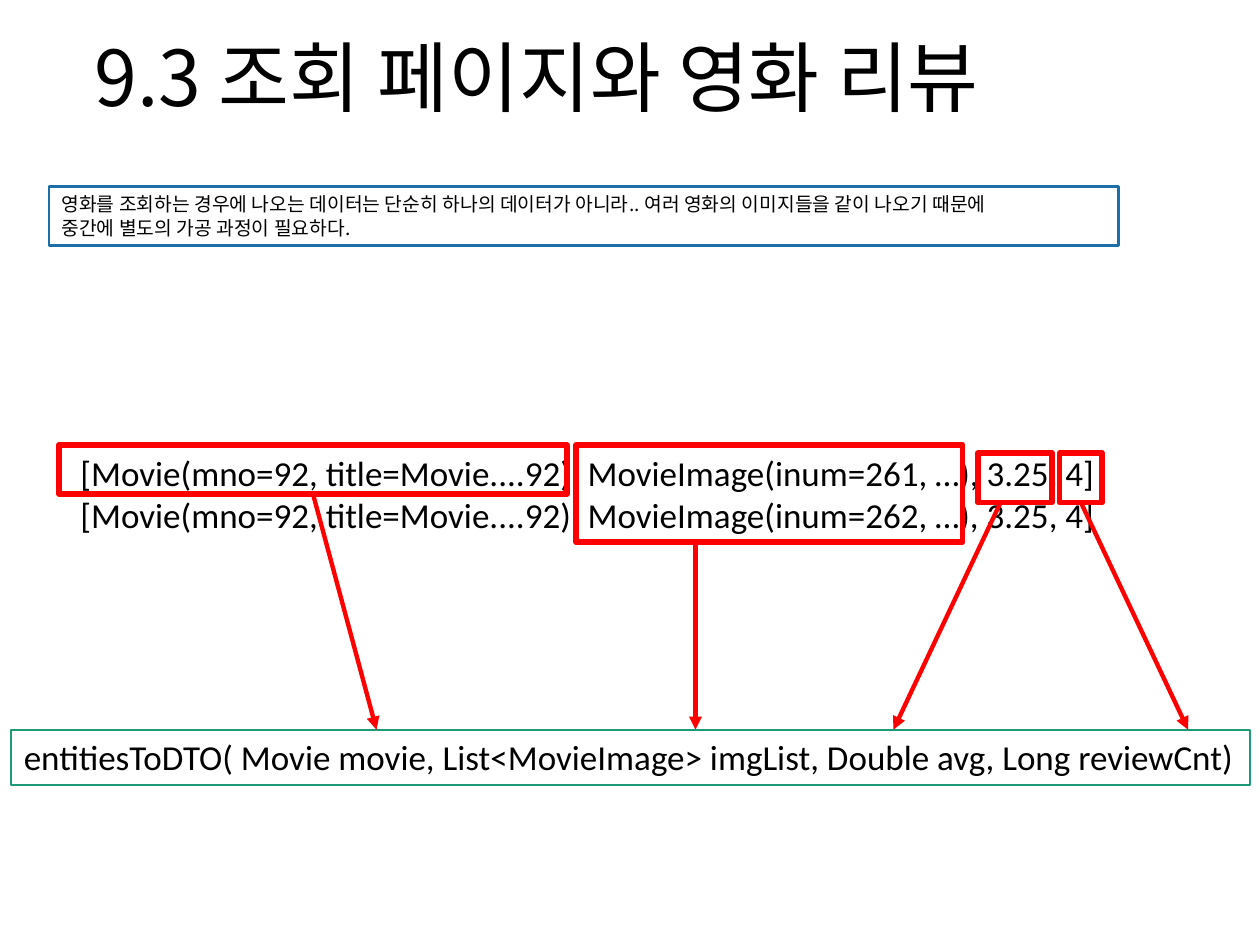
from lxml import etree
from pptx import Presentation
from pptx import util as u
from pptx.dml.color import RGBColor
from pptx.enum import shapes, text
from pptx.oxml.ns import qn

COLORS = {"text": "000000", "paper": "FFFFFF", "mark": "FF0000",
          "method": "1D9A78", "note": "1D6FA9"}
LATIN, KOREAN = "Calibri", "Noto Sans CJK KR"
BOTTOM = 2

ROWS_TOP, MARK_HEIGHT, ROWS_HEIGHT = 8.97, 0.99, 1.96
VALUES_TOP = 9.14
METHOD_TOP = 14.71


def rgb(name):
    return RGBColor.from_string(COLORS[name])


def write(frame, lines, font, size):
    """Fill a text frame with left-aligned paragraphs."""
    frame.text = "\n".join(lines)
    frame.word_wrap = True
    for line in frame.paragraphs:
        line.alignment = text.PP_ALIGN.LEFT
        line.font.name = font
        line.font.size = u.Pt(size)
        line.font.color.rgb = rgb("text")
        if font == KOREAN:
            for run in line.runs:
                east_asian = etree.SubElement(run._r.get_or_add_rPr(), qn("a:ea"))
                east_asian.set("typeface", font)


def add_box(slide, place, line, width, fill=None):
    """Add an outlined rectangle; place is left, top, width, height in cm."""
    box = slide.shapes.add_shape(shapes.MSO_SHAPE.RECTANGLE, *map(u.Cm, place))
    box.shadow.inherit = False
    if fill:
        box.fill.solid()
        box.fill.fore_color.rgb = rgb(fill)
    else:
        box.fill.background()
    box.line.color.rgb = rgb(line)
    box.line.width = u.Pt(width)
    return box


def add_text_box(slide, place, line, width, lines, font, size, fill=None):
    frame = add_box(slide, place, line, width, fill).text_frame
    write(frame, lines, font, size)
    frame.vertical_anchor = text.MSO_ANCHOR.TOP
    frame.auto_size = text.MSO_AUTO_SIZE.SHAPE_TO_FIT_TEXT


def add_arrow(slide, source, start_x, end_x):
    """Point from a marked value to its parameter; no start_x means mid-side."""
    bottom = source.top + source.height
    start = source.left if start_x is None else u.Cm(start_x)
    arrow = slide.shapes.add_connector(
        shapes.MSO_CONNECTOR.STRAIGHT, start, bottom, u.Cm(end_x), u.Cm(METHOD_TOP))
    if start_x is None:
        arrow.begin_connect(source, BOTTOM)
    arrow.line.color.rgb = rgb("mark")
    arrow.line.width = u.Pt(2.5)
    etree.SubElement(arrow.line._get_or_add_ln(), qn("a:tailEnd")).set("type", "triangle")
    etree.SubElement(arrow._element.spPr, qn("a:effectLst"))


def add_title(slide, wording):
    title = slide.shapes.title
    title.left, title.top, title.width, title.height = map(u.Cm, (1.65, 0.38, 22.1, 2.51))
    write(title.text_frame, [wording], KOREAN, 44)
    title.text_frame.vertical_anchor = text.MSO_ANCHOR.MIDDLE
    title.text_frame.paragraphs[0].line_spacing = 0.9


def main():
    deck = Presentation()
    deck.slide_width, deck.slide_height = u.Cm(25.4), u.Cm(19.05)
    slide = deck.slides.add_slide(deck.slide_layouts[5])
    add_title(slide, "9.3 조회 페이지와 영화 리뷰")

    # Query result rows
    rows = [f"[Movie(mno=92, title=Movie....92), MovieImage(inum={inum}, …), 3.25, 4]"
            for inum in (261, 262)]
    add_text_box(slide, (1.37, ROWS_TOP, 21.54, ROWS_HEIGHT), "paper", 0.75,
                 rows, LATIN, 20)

    # Marked values: place, line width, arrow start and arrow end
    marks = [
        ((1.19, ROWS_TOP, 10.24, MARK_HEIGHT), 3.25, None, 7.59),
        ((11.61, ROWS_TOP, 7.8, ROWS_HEIGHT), 3, 14.02, 14.02),
        ((19.71, VALUES_TOP, 1.5, MARK_HEIGHT), 3.25, 20.17, 18.01),
        ((21.36, VALUES_TOP, 0.86, MARK_HEIGHT), 3.25, None, 23.95),
    ]
    marked = [add_box(slide, place, "mark", width) for place, width, _, _ in marks]

    # Method that receives the values
    add_text_box(
        slide, (0.23, METHOD_TOP, 24.97, 1.12), "method", 1,
        ["entitiesToDTO( Movie movie, List<MovieImage> imgList, Double avg, Long reviewCnt)"],
        LATIN, 20, fill="paper")

    # Arrows from values to parameters
    for source, (_, _, start_x, end_x) in zip(marked, marks):
        add_arrow(slide, source, start_x, end_x)

    # Explanatory note
    add_text_box(
        slide, (0.99, 3.76, 21.56, 1.19), "note", 1.5,
        ["영화를 조회하는 경우에 나오는 데이터는 단순히 하나의 데이터가 아니라.. 여러 영화의 이미지들을 같이 나오기 때문에",
         "중간에 별도의 가공 과정이 필요하다."],
        KOREAN, 11)

    deck.save("out.pptx")


if __name__ == "__main__":
    main()
